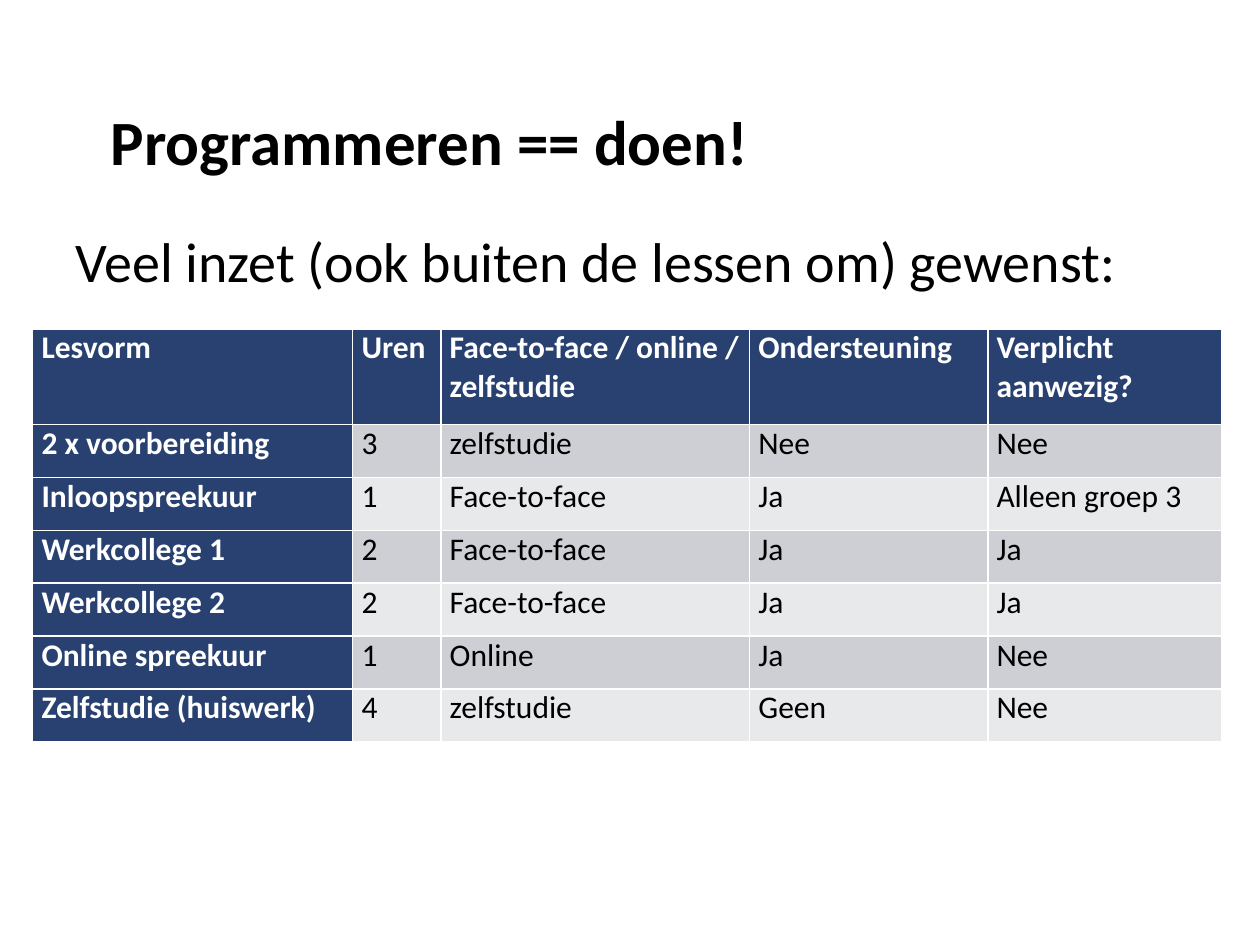
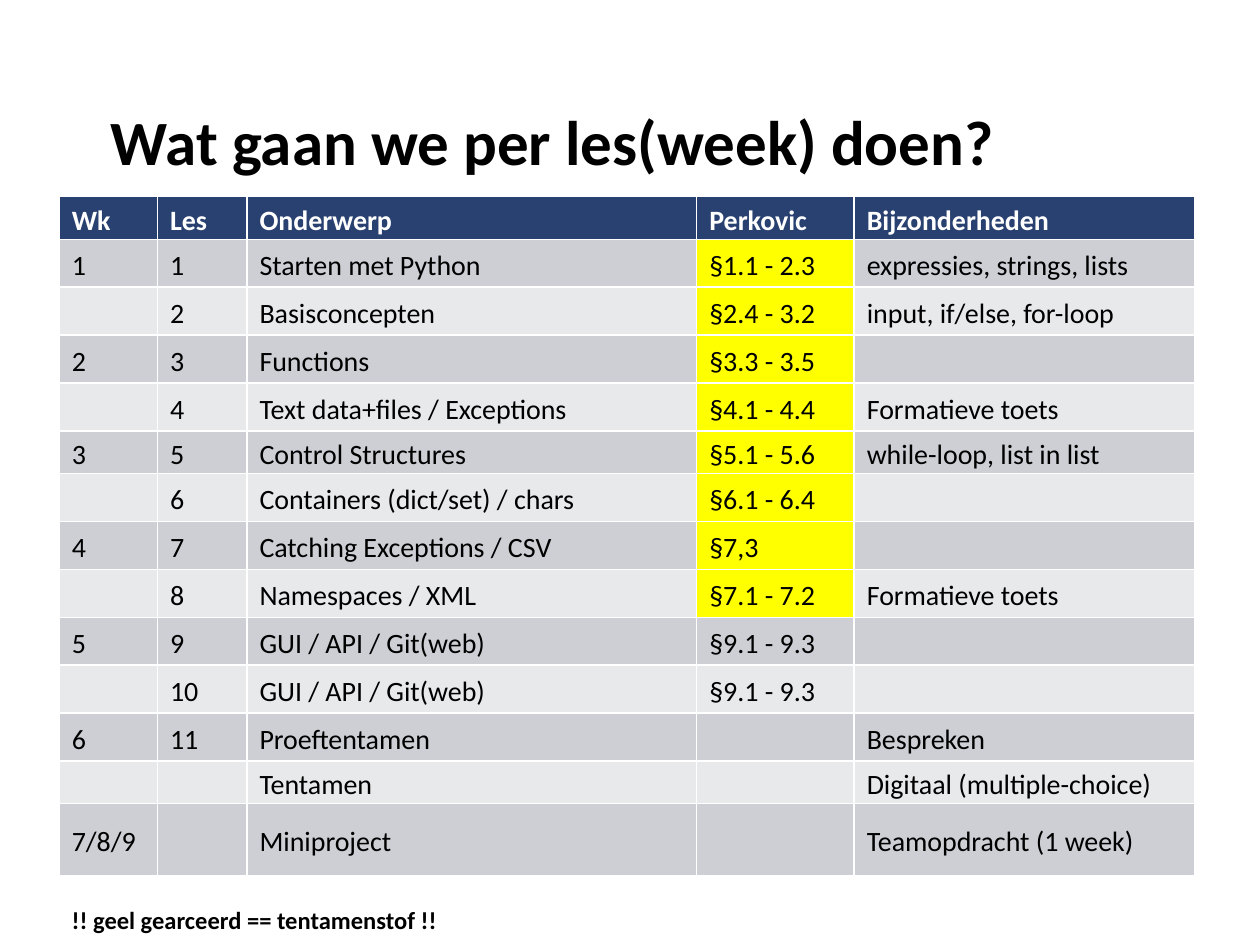
"""Build two course slides: the weekly lesson forms and the lesson plan."""
from pptx import Presentation
from pptx.dml.color import RGBColor
from pptx.enum import text
from pptx.util import Inches, Pt

FONT = "Calibri"
NAVY = RGBColor(0x29, 0x41, 0x71)
WHITE = RGBColor(0xFF, 0xFF, 0xFF)
BLACK = RGBColor(0x00, 0x00, 0x00)
YELLOW = RGBColor(0xFF, 0xFF, 0x00)
BANDS = (RGBColor(0xCD, 0xCF, 0xD5), RGBColor(0xE8, 0xE9, 0xEB))

LESSON_FORMS = {
    "title": "Programmeren == doen!",
    "intro": "Veel inzet (ook buiten de lessen om) gewenst:",
    "columns": (2.54, 0.7, 2.45, 1.89, 1.86),
    "row_heights": [0.76] + [0.42] * 6,
    "rows": [
        ("Lesvorm", "Uren", "Face-to-face / online / zelfstudie", "Ondersteuning",
         "Verplicht aanwezig?"),
        ("2 x voorbereiding", "3", "zelfstudie", "Nee", "Nee"),
        ("Inloopspreekuur", "1", "Face-to-face", "Ja", "Alleen groep 3"),
        ("Werkcollege 1", "2", "Face-to-face", "Ja", "Ja"),
        ("Werkcollege 2", "2", "Face-to-face", "Ja", "Ja"),
        ("Online spreekuur", "1", "Online", "Ja", "Nee"),
        ("Zelfstudie (huiswerk)", "4", "zelfstudie", "Geen", "Nee"),
    ],
}

LESSON_PLAN = {
    "title": "Wat gaan we per les(week) doen?",
    "note": "!! geel gearceerd == tentamenstof !!",
    "columns": (0.78, 0.71, 3.57, 1.25, 2.7),
    "row_heights": [0.34] + [0.38] * 4 + [0.34] + [0.38] * 6 + [0.34, 0.57],
    "rows": [
        ("Wk", "Les", "Onderwerp", "Perkovic", "Bijzonderheden"),
        ("1", "1", "Starten met Python", "§1.1 - 2.3", "expressies, strings, lists"),
        ("", "2", "Basisconcepten", "§2.4 - 3.2", "input, if/else, for-loop"),
        ("2", "3", "Functions", "§3.3 - 3.5", ""),
        ("", "4", "Text data+files / Exceptions", "§4.1 - 4.4", "Formatieve toets"),
        ("3", "5", "Control Structures", "§5.1 - 5.6", "while-loop, list in list"),
        ("", "6", "Containers (dict/set) / chars", "§6.1 - 6.4", ""),
        ("4", "7", "Catching Exceptions / CSV", "§7,3", ""),
        ("", "8", "Namespaces / XML", "§7.1 - 7.2", "Formatieve toets"),
        ("5", "9", "GUI / API / Git(web)", "§9.1 - 9.3", ""),
        ("", "10", "GUI / API / Git(web)", "§9.1 - 9.3", ""),
        ("6", "11", "Proeftentamen", "", "Bespreken"),
        ("", "", "Tentamen", "", "Digitaal (multiple-choice)"),
        ("7/8/9", "", "Miniproject", "", "Teamopdracht (1 week)"),
    ],
}
EXAM_COLUMN = 3
EXAM_ROWS = range(1, 9)


def style_font(paragraph, size, color=BLACK, bold=False):
    font = paragraph.font
    font.name, font.size, font.bold = FONT, Pt(size), bold
    font.color.rgb = color


def place(shape, left, top, width, height):
    shape.left, shape.top = Inches(left), Inches(top)
    shape.width, shape.height = Inches(width), Inches(height)


def add_titled_slide(presentation, title_text):
    slide = presentation.slides.add_slide(presentation.slide_layouts[5])
    title = slide.shapes.title
    place(title, 0.78, 0, 8.5, 1.61)
    frame = title.text_frame
    frame.text = title_text
    frame.auto_size = text.MSO_AUTO_SIZE.NONE
    frame.vertical_anchor = text.MSO_ANCHOR.MIDDLE
    frame.margin_top = Inches(0.66)
    paragraph = frame.paragraphs[0]
    paragraph.alignment = text.PP_ALIGN.LEFT
    style_font(paragraph, 36, bold=True)
    return slide


def add_text(slide, words, box, size, bold=False, anchor=text.MSO_ANCHOR.TOP):
    frame = slide.shapes.add_textbox(*map(Inches, box)).text_frame
    frame.word_wrap = True
    frame.vertical_anchor = anchor
    frame.text = words
    style_font(frame.paragraphs[0], size, bold=bold)


def add_banded_table(slide, content, left, top, size, margin, first_column=False):
    rows, columns, heights = content["rows"], content["columns"], content["row_heights"]
    table = slide.shapes.add_table(
        len(rows), len(columns), Inches(left), Inches(top),
        Inches(sum(columns)), Inches(sum(heights))).table
    table.first_col = first_column
    for column, width in zip(table.columns, columns):
        column.width = Inches(width)
    for row_index, (row, height) in enumerate(zip(rows, heights)):
        table.rows[row_index].height = Inches(height)
        for column_index, words in enumerate(row):
            cell = table.cell(row_index, column_index)
            heading = row_index == 0 or (first_column and column_index == 0)
            cell.margin_left = cell.margin_right = Inches(margin)
            cell.margin_top = cell.margin_bottom = 0
            cell.fill.solid()
            cell.fill.fore_color.rgb = NAVY if heading else BANDS[(row_index - 1) % 2]
            if words:
                cell.text = words
                paragraph = cell.text_frame.paragraphs[0]
                paragraph.space_after = Pt(6)
                style_font(paragraph, size, WHITE if heading else BLACK, heading)
    return table


def build_lesson_forms(presentation):
    slide = add_titled_slide(presentation, LESSON_FORMS["title"])
    add_text(slide, LESSON_FORMS["intro"], (0.5, 1.75, 9, 0.58), 32)
    add_banded_table(slide, LESSON_FORMS, 0.26, 2.61, 18, 0.07, first_column=True)


def build_lesson_plan(presentation):
    slide = add_titled_slide(presentation, LESSON_PLAN["title"])
    table = add_banded_table(slide, LESSON_PLAN, 0.47, 1.56, 16, 0.1)
    for cell in table.iter_cells():
        cell.vertical_anchor = text.MSO_ANCHOR.MIDDLE
        if cell.text:
            paragraph = cell.text_frame.paragraphs[0]
            paragraph.alignment = text.PP_ALIGN.JUSTIFY
            paragraph.line_spacing = 1.15
    for row_index in EXAM_ROWS:
        table.cell(row_index, EXAM_COLUMN).fill.fore_color.rgb = YELLOW
    add_text(slide, LESSON_PLAN["note"], (0.47, 7.13, 4.35, 0.34), 14,
             bold=True, anchor=text.MSO_ANCHOR.MIDDLE)


def main():
    presentation = Presentation()
    presentation.slide_width, presentation.slide_height = Inches(10), Inches(7.5)
    build_lesson_forms(presentation)
    build_lesson_plan(presentation)
    presentation.save("out.pptx")


if __name__ == "__main__":
    main()
